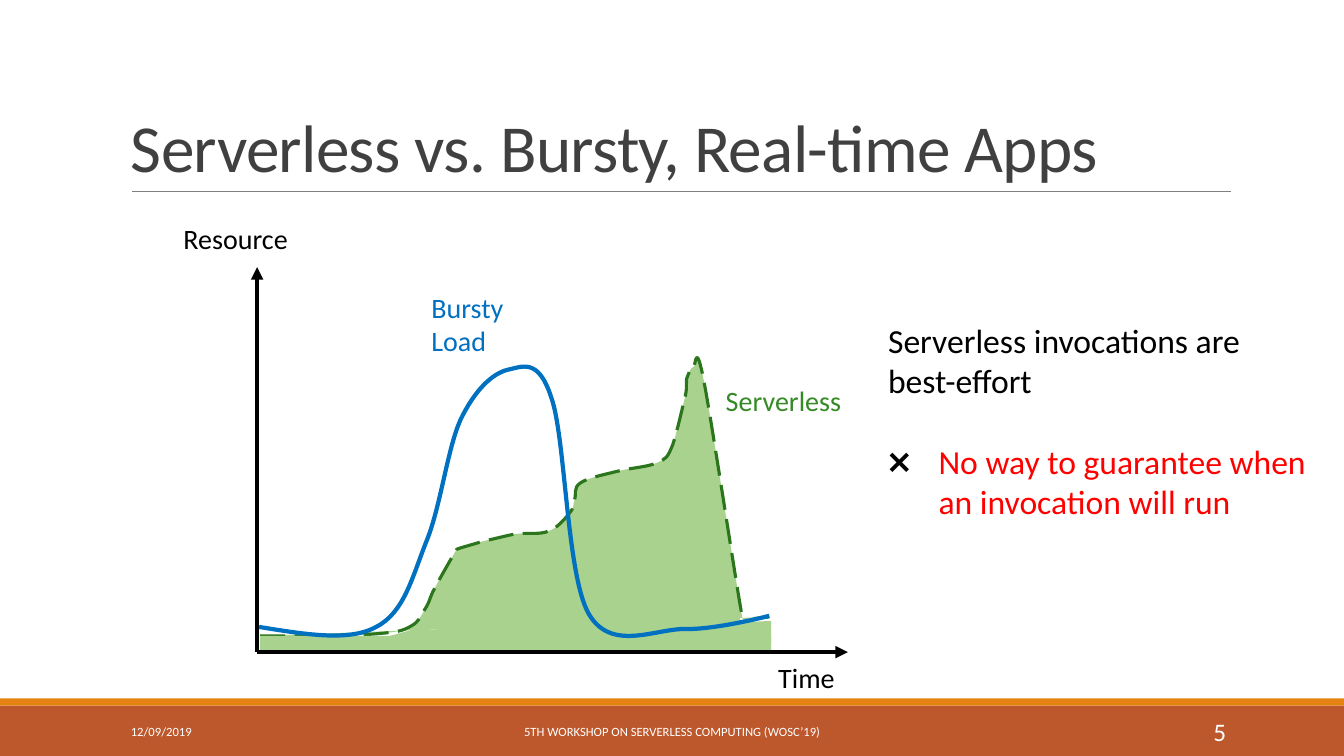
from dataclasses import dataclass

from lxml import etree
from pptx import Presentation
from pptx import util as u
from pptx.dml.color import RGBColor
from pptx.enum import dml, shapes, text
from pptx.oxml import ns


@dataclass(frozen=True)
class Theme:
    font: str = "Calibri"
    ink: str = "000000"
    heading: str = "404040"
    rule: str = "808080"
    paper: str = "FFFFFF"
    band: str = "BD582C"
    band_edge: str = "E48312"
    warning: str = "FF0000"
    bursty: str = "0070C0"
    area: str = "A9D28E"
    area_edge: str = "2B751D"
    serverless: str = "348A24"
    title_size: int = 48
    body_size: int = 24
    label_size: int = 20
    number_size: int = 18
    footer_size: int = 9


THEME = Theme()

# Curves in inches from the chart box corner: a frame, a start point, then
# rows of two control points and an end point
SERVERLESS_FRAME = (1.58, 1.55, 5.06, 2.76)
SERVERLESS_START = (1.58, 4.31)
SERVERLESS_CURVE = [
    (2.02, 4.31, 2.46, 4.31, 2.71, 4.29),
    (2.96, 4.27, 2.99, 4.26, 3.08, 4.21),
    (3.16, 4.17, 3.19, 4.08, 3.23, 4.02),
    (3.27, 3.95, 3.26, 3.93, 3.31, 3.84),
    (3.36, 3.74, 3.53, 3.45, 3.53, 3.45),
    (3.58, 3.43, 3.7, 3.4, 3.79, 3.37),
    (3.89, 3.35, 4, 3.32, 4.1, 3.3),
    (4.21, 3.28, 4.35, 3.31, 4.44, 3.27),
    (4.53, 3.24, 4.61, 3.14, 4.65, 3.09),
    (4.7, 3.03, 4.68, 3.01, 4.7, 2.96),
    (4.72, 2.91, 4.68, 2.84, 4.76, 2.79),
    (4.83, 2.74, 5.03, 2.7, 5.15, 2.67),
    (5.28, 2.64, 5.44, 2.63, 5.52, 2.59),
    (5.61, 2.55, 5.62, 2.54, 5.67, 2.42),
    (5.71, 2.31, 5.77, 2.04, 5.8, 1.92),
    (5.82, 1.81, 5.8, 1.8, 5.81, 1.76),
    (5.83, 1.71, 5.85, 1.64, 5.88, 1.64),
    (5.9, 1.64, 5.9, 1.36, 5.98, 1.77),
    (6.06, 2.18, 6.29, 3.72, 6.36, 4.11),
    (6.44, 4.51, 6.39, 4.13, 6.43, 4.14),
    (6.48, 4.14, 6.55, 4.13, 6.63, 4.12),
]
BURSTY_FRAME = (1.57, 1.64, 5.07, 2.67)
BURSTY_START = (1.57, 4.22)
BURSTY_CURVE = [
    (2.01, 4.29, 2.46, 4.37, 2.73, 4.22),
    (3.01, 4.08, 3.09, 3.72, 3.23, 3.37),
    (3.37, 3.03, 3.44, 2.44, 3.57, 2.16),
    (3.71, 1.87, 3.88, 1.71, 4.03, 1.67),
    (4.18, 1.64, 4.34, 1.54, 4.47, 1.95),
    (4.61, 2.35, 4.62, 3.71, 4.84, 4.09),
    (5.06, 4.47, 5.49, 4.24, 5.79, 4.24),
    (6.09, 4.25, 6.63, 4.11, 6.63, 4.11),
]


def inches(*lengths):
    return [u.Inches(length) for length in lengths]


def apply_format(target, values):
    for name, value in values.items():
        setattr(target, name, value)


def write(paragraph, wording, size, color, **paragraph_format):
    apply_format(paragraph, paragraph_format)
    run = paragraph.add_run()
    run.text = wording
    apply_format(run.font, {"name": THEME.font, "size": u.Pt(size)})
    run.font.color.rgb = RGBColor.from_string(color)
    return run


def add_frame(parent, box, **frame_format):
    frame = parent.add_textbox(*inches(*box)).text_frame
    apply_format(frame, {"word_wrap": True, **frame_format})
    return frame


def add_filled(parent, preset, box, color):
    shape = parent.add_shape(preset, *inches(*box))
    shape.shadow.inherit = False
    shape.fill.solid()
    shape.fill.fore_color.rgb = RGBColor.from_string(color)
    shape.line.fill.background()
    return shape


def add_line(parent, start, end, color, width, arrow=False):
    line = parent.add_connector(shapes.MSO_CONNECTOR.STRAIGHT, *inches(*start, *end))
    line.line.color.rgb = RGBColor.from_string(color)
    line.line.width = u.Pt(width)
    if arrow:
        etree.SubElement(line.line._get_or_add_ln(), ns.qn("a:tailEnd"), type="triangle")
    etree.SubElement(line._element.spPr, ns.qn("a:effectLst"))


def add_curve(parent, corner, frame, start, curve, color, width):
    builder = parent.build_freeform(*inches(*start))
    builder.add_line_segments([inches(*row[4:]) for row in curve], close=False)
    outline = builder.convert_to_shape()
    left, top, frame_width, frame_height = frame
    box = inches(corner[0] + left, corner[1] + top, frame_width, frame_height)
    apply_format(outline, dict(zip(("left", "top", "width", "height"), box)))

    # Bend each straight segment into a cubic curve within the frame
    track = next(outline._element.iter(ns.qn("a:path")))
    track.set("w", str(box[2]))
    track.set("h", str(box[3]))
    for segment, row in zip(list(track), [start, *curve]):
        bend = etree.SubElement(track, ns.qn("a:cubicBezTo" if len(row) > 2 else "a:moveTo"))
        for x, y in zip(row[::2], row[1::2]):
            etree.SubElement(bend, ns.qn("a:pt"), x=str(u.Inches(x - left)), y=str(u.Inches(y - top)))
        track.remove(segment)

    outline.shadow.inherit = False
    outline.fill.background()
    outline.line.color.rgb = RGBColor.from_string(color)
    outline.line.width = u.Pt(width)
    return outline


def add_title(slide, box):
    left, top, width, height = box
    frame = add_frame(slide.shapes, box, vertical_anchor=text.MSO_ANCHOR.BOTTOM)
    heading = write(frame.paragraphs[0], "Serverless vs. Bursty, Real-time Apps",
                    THEME.title_size, THEME.heading, line_spacing=0.85)
    heading.font._element.set("spc", "-50")
    rule_y = top + height
    add_line(slide.shapes, (left + 0.11, rule_y), (left + width + 0.01, rule_y), THEME.rule, 0.5)


def add_serverless_area(slide, corner):
    left, top = corner
    group = slide.shapes.add_group_shape().shapes
    area = add_curve(group, corner, SERVERLESS_FRAME, SERVERLESS_START, SERVERLESS_CURVE,
                     THEME.area_edge, 2.25)
    area.fill.solid()
    area.fill.fore_color.rgb = RGBColor.from_string(THEME.area)
    area.line.dash_style = dml.MSO_LINE.LONG_DASH

    # Fill between the curve and the time axis
    block, wedge = shapes.MSO_SHAPE.RECTANGLE, shapes.MSO_SHAPE.RIGHT_TRIANGLE
    for preset, x, y, width, height, turn in [
        (block, 1.58, 4.31, 5.07, 0.14, 0),
        (wedge, 1.79, 4.16, 4.86, 0.22, 0),
        (block, 3.13, 4.14, 3.21, 0.17, -4.2),
        (wedge, 2.31, 4.22, 0.96, 0.22, -2.6),
    ]:
        patch = add_filled(group, preset, (left + x, top + y, width, height), THEME.area)
        patch.rotation = turn
        if preset == wedge:
            patch._element.spPr.xfrm.set("flipH", "1")


def add_load_chart(slide, box):
    left, top = corner = box[:2]
    origin = (left + 1.55, top + 4.47)
    add_serverless_area(slide, corner)
    for end in [(left + 7.41, origin[1]), (origin[0], top + 0.65)]:
        add_line(slide.shapes, origin, end, THEME.ink, 3, arrow=True)
    add_curve(slide.shapes, corner, BURSTY_FRAME, BURSTY_START, BURSTY_CURVE, THEME.bursty, 3)

    # Axis and curve labels
    for lines, x, y, width, height, color in [
        (["Resource"], 0.72, 0.15, 1.25, 0.44, THEME.ink),
        (["Time"], 6.62, 4.5, 0.77, 0.44, THEME.ink),
        (["Serverless"], 6.1, 1.76, 1.36, 0.44, THEME.serverless),
        (["Bursty", "Load"], 3.18, 0.83, 0.92, 0.77, THEME.bursty),
    ]:
        frame = add_frame(slide.shapes, (left + x, top + y, width, height), word_wrap=False,
                          auto_size=text.MSO_AUTO_SIZE.SHAPE_TO_FIT_TEXT)
        for index, wording in enumerate(lines):
            paragraph = frame.add_paragraph() if index else frame.paragraphs[0]
            write(paragraph, wording, THEME.label_size, color)


def add_argument(slide, box):
    frame = add_frame(slide.shapes, box, auto_size=text.MSO_AUTO_SIZE.SHAPE_TO_FIT_TEXT)
    write(frame.paragraphs[0], "Serverless invocations are best-effort", THEME.body_size, THEME.ink)

    # Drawback hanging from a black cross
    drawback = frame.add_paragraph()
    indent = u.Inches(0.5)
    apply_format(drawback._p.get_or_add_pPr(), {"marL": indent, "indent": -indent})
    for name, value in {"marL": indent, "indent": -indent}.items():
        drawback._p.pPr.set(name, str(value))
    write(drawback, "❌\t", THEME.body_size, THEME.ink, space_before=u.Pt(29))
    write(drawback, "No way to guarantee when an invocation will run", THEME.body_size, THEME.warning)


def add_footer(slide, box):
    left, top, width, height = box
    edge = 0.07
    block = shapes.MSO_SHAPE.RECTANGLE
    add_filled(slide.shapes, block, (left, top + edge, width, height - edge), THEME.band)
    add_filled(slide.shapes, block, (left, top, width, edge), THEME.band_edge)
    for wording, x, part_width, size, align in [
        ("12/09/2019", 1.2, 2.7, THEME.footer_size, text.PP_ALIGN.LEFT),
        ("5TH WORKSHOP ON SERVERLESS COMPUTING (WOSC’19)", 4.03, 5.27,
         THEME.footer_size, text.PP_ALIGN.CENTER),
        ("5", 10.83, 1.43, THEME.number_size, text.PP_ALIGN.RIGHT),
    ]:
        frame = add_frame(slide.shapes, (left + x, top + 0.13, part_width, 0.4),
                          vertical_anchor=text.MSO_ANCHOR.MIDDLE)
        write(frame.paragraphs[0], wording, size, THEME.paper, alignment=align)


def main():
    deck = Presentation()
    deck.slide_width, deck.slide_height = inches(13.33, 7.5)
    slide = deck.slides.add_slide(deck.slide_layouts[6])
    add_footer(slide, (0, 6.93, 13.33, 0.57))
    add_title(slide, (1.2, 0.31, 11, 1.59))
    add_argument(slide, (8.71, 3.12, 4.41, 2.12))
    add_load_chart(slide, (1, 2, 7.5, 5))
    deck.save("out.pptx")


if __name__ == "__main__":
    main()
